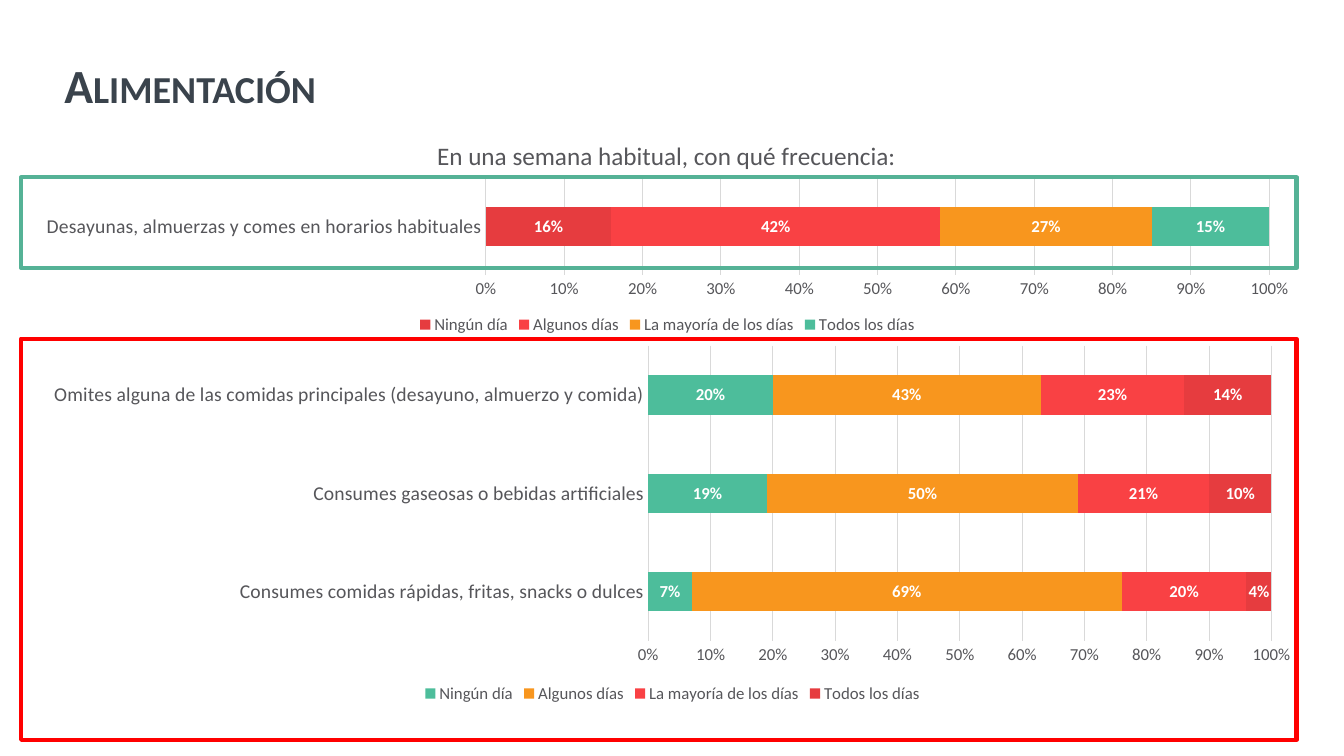
"""Build the slide on eating habits: two stacked frequency charts, each in a frame."""
from dataclasses import dataclass

import lxml.etree
import pptx
import pptx.chart.data
import pptx.dml.color
import pptx.enum.chart
import pptx.enum.shapes
import pptx.enum.text
import pptx.oxml
import pptx.oxml.ns
import pptx.util

Inches = pptx.util.Inches
Pt = pptx.util.Pt
RGB = pptx.dml.color.RGBColor.from_string
qn = pptx.oxml.ns.qn


@dataclass(frozen=True)
class Theme:
    font: str = "Calibri"
    heading: str = "3A434C"
    body: str = "56565A"
    grid: str = "D9D9D9"
    label: str = "FFFFFF"
    good_frame: str = "55B296"
    bad_frame: str = "FF0000"
    scale: tuple[str, ...] = ("E63C3F", "F94144", "F8961E", "4DBD9B")
    heading_size: int = 34
    question_size: int = 18
    category_size: int = 14
    small_size: int = 12


@dataclass(frozen=True)
class Box:
    left: float
    top: float
    width: float
    height: float

    def lengths(self) -> list[int]:
        return [Inches(v) for v in (self.left, self.top, self.width, self.height)]


@dataclass(frozen=True)
class Frame:
    box: Box
    color: str


@dataclass(frozen=True)
class FrequencyChart:
    box: Box
    plot: Box
    colors: tuple[str, ...]
    habits: dict[str, tuple[float, ...]]
    question: str = ""


THEME = Theme()
FREQUENCIES = ("Ningún día", "Algunos días", "La mayoría de los días", "Todos los días")
HEADING_BOX = Box(0.54, 0.4, 12.73, 0.94)
QUESTION_LEFT, QUESTION_TOP = 4.29, 1.33

REGULAR_MEALS = FrequencyChart(
    box=Box(0.21, 1.17, 12.82, 2.19),
    plot=Box(4.82, 1.77, 7.77, 0.96),
    colors=THEME.scale,
    habits={
        "Desayunas, almuerzas y comes en horarios habituales": (0.16, 0.42, 0.27, 0.15),
    },
    question="En una semana habitual, con qué frecuencia:",
)
UNHEALTHY_HABITS = FrequencyChart(
    box=Box(0.28, 3.36, 12.78, 3.66),
    plot=Box(6.43, 3.43, 6.18, 2.93),
    colors=THEME.scale[::-1],
    habits={
        "Consumes comidas rápidas, fritas, snacks o dulces": (0.07, 0.69, 0.2, 0.04),
        "Consumes gaseosas o bebidas artificiales": (0.19, 0.5, 0.21, 0.1),
        "Omites alguna de las comidas principales (desayuno, almuerzo y comida)":
            (0.2, 0.43, 0.23, 0.14),
    },
)
FRAMES = (
    Frame(Box(0.21, 1.76, 12.65, 0.9), THEME.good_frame),
    Frame(Box(0.21, 3.36, 12.65, 3.98), THEME.bad_frame),
)


def style_font(font, size: int, color: str, bold: bool = False) -> None:
    font.name = THEME.font
    font.size = Pt(size)
    font.bold = bold
    font.color.rgb = RGB(color)


def make_layout(**settings: str | float):
    layout = pptx.oxml.parse_xml(
        '<c:layout xmlns:c="http://schemas.openxmlformats.org/drawingml/2006/chart"/>'
    )
    manual = lxml.etree.SubElement(layout, qn("c:manualLayout"))
    for name, value in settings.items():
        lxml.etree.SubElement(manual, qn(f"c:{name}")).set("val", str(value))
    return layout


def place_plot(chart, item: FrequencyChart) -> None:
    plot_area = chart._chartSpace.chart.plotArea
    for layout in plot_area.findall(qn("c:layout")):
        plot_area.remove(layout)
    plot_area.insert(0, make_layout(
        layoutTarget="inner", xMode="edge", yMode="edge",
        x=round((item.plot.left - item.box.left) / item.box.width, 4),
        y=round((item.plot.top - item.box.top) / item.box.height, 4),
        w=round(item.plot.width / item.box.width, 4),
        h=round(item.plot.height / item.box.height, 4),
    ))


def add_question(chart, item: FrequencyChart) -> None:
    chart.has_title = True
    paragraph = chart.chart_title.text_frame.paragraphs[0]
    paragraph.text = item.question
    style_font(paragraph.font, THEME.question_size, THEME.body)
    title = chart.chart_title._element
    for layout in title.findall(qn("c:layout")):
        title.remove(layout)
    title.find(qn("c:tx")).addnext(make_layout(
        xMode="edge", yMode="edge",
        x=round((QUESTION_LEFT - item.box.left) / item.box.width, 4),
        y=round((QUESTION_TOP - item.box.top) / item.box.height, 4),
    ))


def style_axes(chart) -> None:
    no_ticks = pptx.enum.chart.XL_TICK_MARK.NONE
    habits, shares = chart.category_axis, chart.value_axis
    for axis, size in ((habits, THEME.category_size), (shares, THEME.small_size)):
        axis.major_tick_mark = axis.minor_tick_mark = no_ticks
        style_font(axis.tick_labels.font, size, THEME.body)
    shares.has_major_gridlines = True
    for line in (habits.format.line, shares.major_gridlines.format.line):
        line.color.rgb = RGB(THEME.grid)
        line.width = Pt(0.75)
    shares.format.line.fill.background()
    shares.minimum_scale, shares.maximum_scale, shares.major_unit = 0, 1, 0.1
    shares.tick_labels.number_format = "0%"
    shares.tick_labels.number_format_is_linked = False


def add_frequency_chart(slide, item: FrequencyChart) -> None:
    data = pptx.chart.data.CategoryChartData(number_format="0%")
    data.categories = list(item.habits)
    for name, shares in zip(FREQUENCIES, zip(*item.habits.values())):
        data.add_series(name, shares)
    chart = slide.shapes.add_chart(
        pptx.enum.chart.XL_CHART_TYPE.BAR_STACKED_100, *item.box.lengths(), data
    ).chart
    style_font(chart.font, THEME.small_size, THEME.body)
    chart.has_title = False
    if item.question:
        add_question(chart, item)
    chart.has_legend = True
    chart.legend.position = pptx.enum.chart.XL_LEGEND_POSITION.BOTTOM
    chart.legend.include_in_layout = False
    style_font(chart.legend.font, THEME.small_size, THEME.body)
    style_axes(chart)
    bars = chart.plots[0]
    bars.gap_width, bars.overlap = 150, 100
    bars.vary_by_categories = False
    for series, color in zip(bars.series, item.colors):
        series.format.fill.solid()
        series.format.fill.fore_color.rgb = RGB(color)
        labels = series.data_labels
        labels.show_value = True
        labels.number_format, labels.number_format_is_linked = "0%", False
        labels.position = pptx.enum.chart.XL_LABEL_POSITION.CENTER
        style_font(labels.font, THEME.small_size, THEME.label, bold=True)
    place_plot(chart, item)


def add_heading(slide, text: str) -> None:
    text_frame = slide.shapes.add_textbox(*HEADING_BOX.lengths()).text_frame
    text_frame.word_wrap = True
    text_frame.vertical_anchor = pptx.enum.text.MSO_ANCHOR.MIDDLE
    paragraph = text_frame.paragraphs[0]
    paragraph.text = text
    paragraph.line_spacing = 0.9
    style_font(paragraph.font, THEME.heading_size, THEME.heading, bold=True)
    paragraph._p.pPr.find(qn("a:defRPr")).set("cap", "small")


def add_frame(slide, item: Frame) -> None:
    frame = slide.shapes.add_shape(
        pptx.enum.shapes.MSO_SHAPE.RECTANGLE, *item.box.lengths()
    )
    frame.shadow.inherit = False
    frame.fill.background()
    frame.line.color.rgb = RGB(item.color)
    frame.line.width = Pt(3)


def main() -> None:
    deck = pptx.Presentation()
    deck.slide_width, deck.slide_height = Inches(13.33), Inches(7.5)
    slide = deck.slides.add_slide(deck.slide_layouts[6])
    add_heading(slide, "Alimentación")
    add_frequency_chart(slide, REGULAR_MEALS)
    for frame in FRAMES:
        add_frame(slide, frame)
    add_frequency_chart(slide, UNHEALTHY_HABITS)
    deck.save("out.pptx")


if __name__ == "__main__":
    main()
